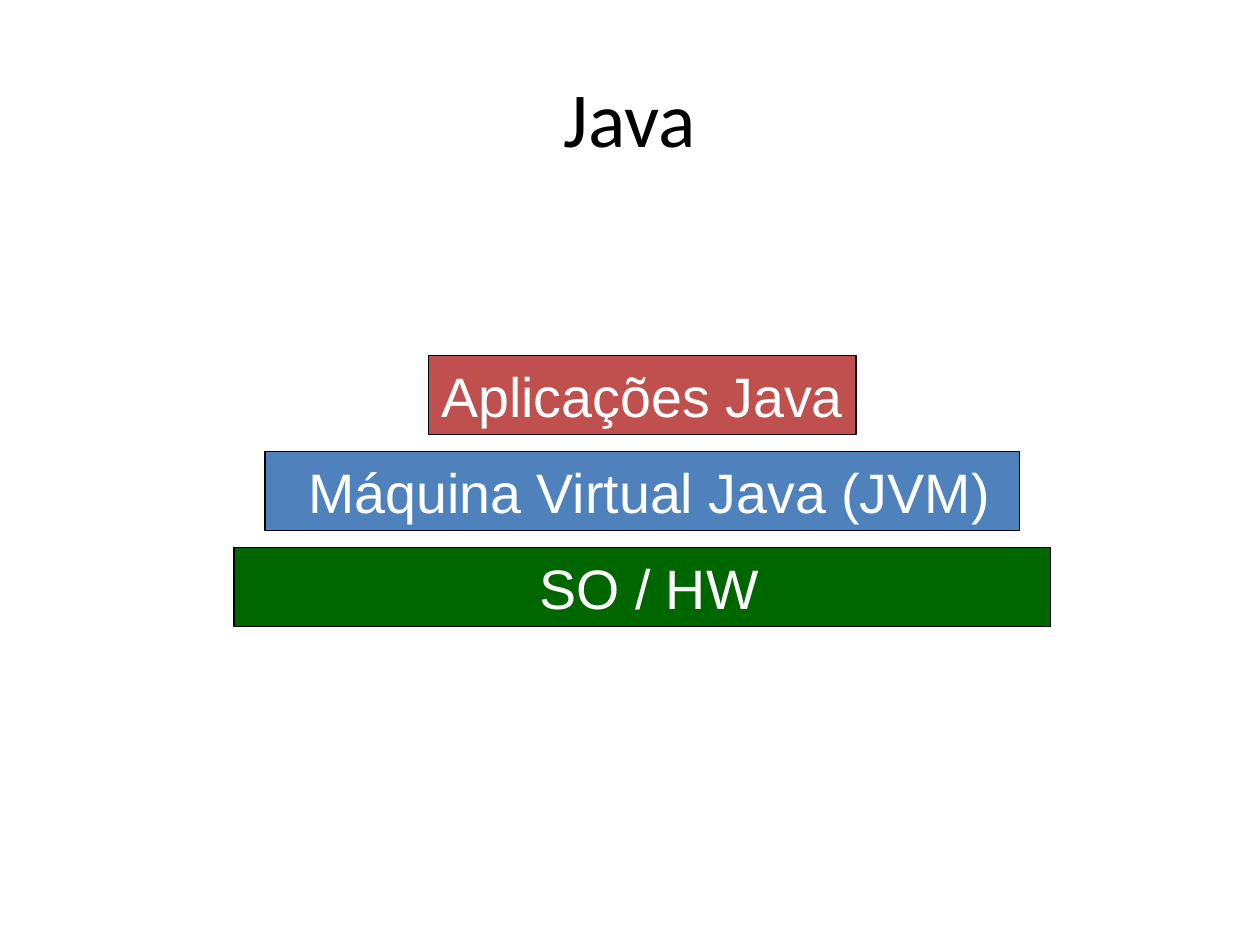
from dataclasses import dataclass
from pptx import Presentation
from pptx.dml.color import RGBColor
from pptx.enum.shapes import MSO_SHAPE
from pptx.enum.text import MSO_ANCHOR, PP_ALIGN
from pptx.util import Inches, Pt

TITLE = "Java"
LAYERS = [
    ("Aplicações Java", 3.74, "C0504D", 0),
    ("Máquina Virtual Java (JVM)", 6.6, "4F81BD", 0.12),
    ("SO / HW", 7.14, "006600", 0.12),
]


@dataclass(frozen=True)
class Theme:
    title_font: str = "Calibri"
    layer_font: str = "Arial"
    title_size: int = 49
    layer_size: int = 35
    dark: str = "000000"
    light: str = "FFFFFF"


THEME = Theme()
CM_PER_INCH = 2.54
SLIDE_W, SLIDE_H = 28 / CM_PER_INCH, 21 / CM_PER_INCH
CENTER, TOP, HEIGHT, GAP = 5.62, 3.11, 0.69, 0.15
INSET_X, INSET_Y = 0.11, 0.06


def write(tf, text, font, size, color, indent=0):
    tf.margin_left = Inches(INSET_X + indent)
    tf.margin_right = Inches(INSET_X)
    tf.margin_top = tf.margin_bottom = Inches(INSET_Y)
    tf.vertical_anchor = MSO_ANCHOR.MIDDLE
    p = tf.paragraphs[0]
    p.alignment = PP_ALIGN.CENTER
    r = p.add_run()
    r.text = text
    r.font.name = font
    r.font.size = Pt(size)
    r.font.color.rgb = RGBColor.from_string(color)


def add_layer(s, row, text, width, fill, indent):
    sp = s.shapes.add_shape(
        MSO_SHAPE.RECTANGLE, Inches(CENTER - width / 2),
        Inches(TOP + row * (HEIGHT + GAP)), Inches(width), Inches(HEIGHT))
    sp.shadow.inherit = False
    sp.fill.solid()
    sp.fill.fore_color.rgb = RGBColor.from_string(fill)
    sp.line.color.rgb = RGBColor.from_string(THEME.dark)
    sp.line.width = Pt(1)
    sp.text_frame.word_wrap = False
    write(sp.text_frame, text, THEME.layer_font, THEME.layer_size,
          THEME.light, indent)


def main():
    prs = Presentation()
    prs.slide_width, prs.slide_height = Inches(SLIDE_W), Inches(SLIDE_H)
    s = prs.slides.add_slide(prs.slide_layouts[5])
    title = s.shapes.title
    title.left, title.top = Inches(0.55), Inches(0.33)
    title.width, title.height = Inches(9.92), Inches(1.38)
    write(title.text_frame, TITLE, THEME.title_font, THEME.title_size, THEME.dark)
    for row, layer in enumerate(LAYERS):
        add_layer(s, row, *layer)
    prs.save("out.pptx")


if __name__ == "__main__":
    main()
